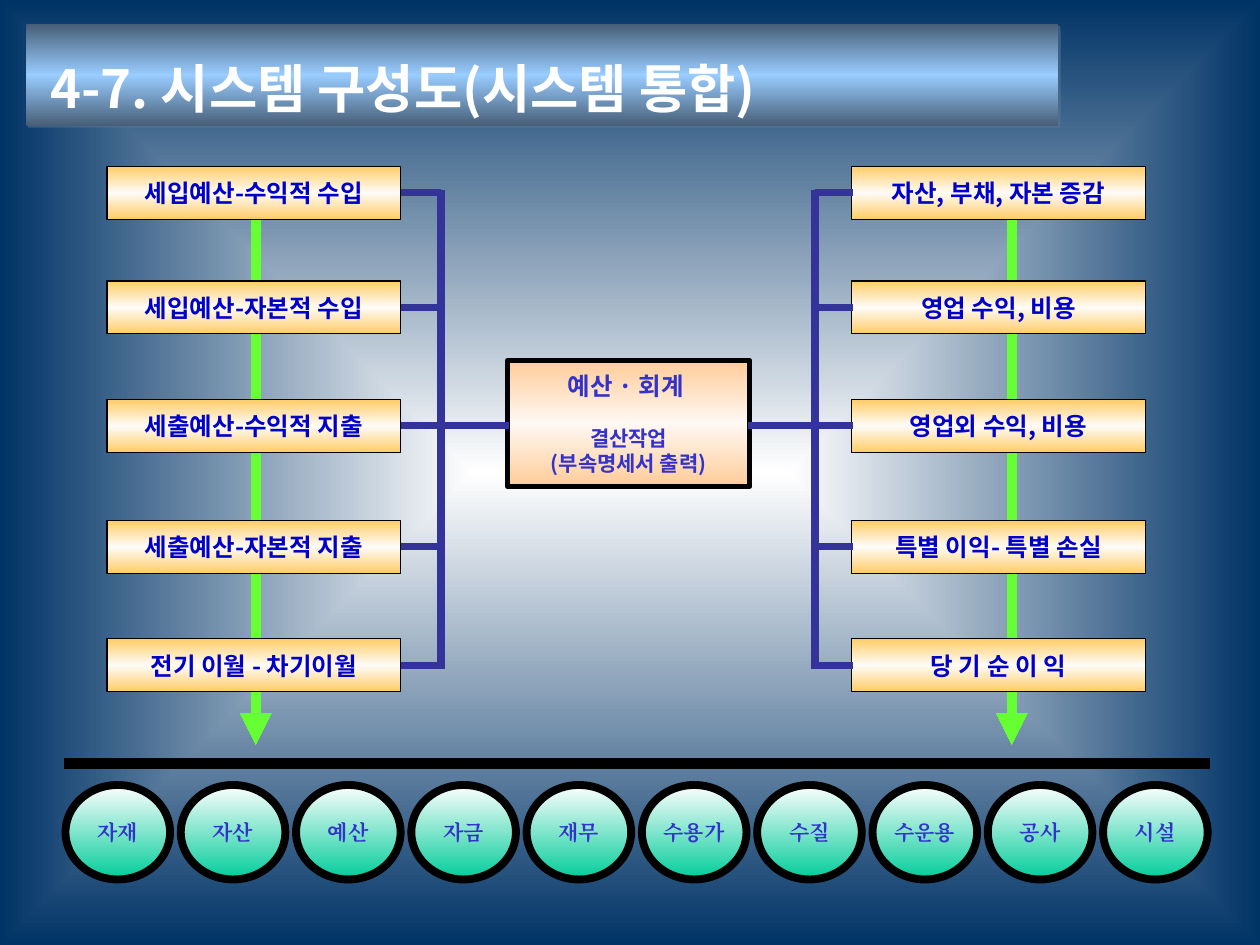
import pptx
import pptx.util
import pptx.dml.color
import pptx.enum.shapes
import pptx.enum.text
import pptx.oxml
import pptx.oxml.ns
from lxml import etree

Inches, Pt = pptx.util.Inches, pptx.util.Pt
SHAPE = pptx.enum.shapes.MSO_SHAPE
ALIGN = pptx.enum.text.PP_ALIGN
qn = pptx.oxml.ns.qn

COLORS = {
    "white": "FFFFFF", "navy": "003366", "steel": "475E76", "sky": "99CCFF",
    "title_shadow": "5B7998", "green": "66FF33", "peach": "FFCC99",
    "pale_peach": "FEF8F3", "amber": "FFCC66", "cream": "FEFCF8",
    "near_white": "FEFEFE", "teal": "00CC99", "black": "000000",
    "violet": "3333CC", "blue": "0000CC", "indigo": "333399",
}
SANS, SERIF = "Noto Sans CJK KR", "Times New Roman"

TITLE = "4-7. 시스템 구성도(시스템 통합)"
BUDGET = ["세입예산-수익적 수입", "세입예산-자본적 수입", "세출예산-수익적 지출",
          "세출예산-자본적 지출", "전기 이월 - 차기이월"]
ACCOUNTING = ["자산, 부채, 자본 증감", "영업 수익, 비용", "영업외 수익, 비용",
              "특별 이익- 특별 손실", "당 기 순 이 익"]
SETTLEMENT = [("예산 · 회계 ", 14, 0), ("결산작업", 12, 14), ("(부속명세서 출력)", 12, 0)]
MODULES = ["자재", "자산", "예산", "자금", "재무", "수용가", "수질", "수운용", "공사", "시설"]

ROW_TOPS = [1.32, 2.23, 3.17, 4.13, 5.07]
BOX_WIDTH, BOX_HEIGHT = 2.33, 0.42
MIDDLE_ROW = 2
SIDES = [
    {"labels": BUDGET, "left": 0.85, "flow": 2.03, "spine": 3.5, "edge": 3.18, "hub": 4.04},
    {"labels": ACCOUNTING, "left": 6.76, "flow": 8.03, "spine": 6.47, "edge": 6.77, "hub": 5.94},
]
FLOW_TOP, FLOW_STEP, FLOW_END = 1.74, 0.92, 5.91
MODULE_LEFT, MODULE_STEP, MODULE_TOP = 0.52, 0.915, 6.23


def rgb(color):
    return pptx.dml.color.RGBColor.from_string(COLORS[color])


def set_gradient(fill, owner, colors, from_center=False):
    fill.gradient()
    gradient = owner.find(".//" + qn("a:gradFill"))
    for child in list(gradient):
        gradient.remove(child)
    stops = etree.SubElement(gradient, qn("a:gsLst"))
    for index, color in enumerate(colors):
        position = 100000 * index // (len(colors) - 1)
        stop = etree.SubElement(stops, qn("a:gs"), pos=str(position))
        etree.SubElement(stop, qn("a:srgbClr"), val=COLORS[color])
    if from_center:
        focus = etree.SubElement(gradient, qn("a:path"), path="rect")
        etree.SubElement(focus, qn("a:fillToRect"), dict.fromkeys("ltrb", "50000"))
    else:
        etree.SubElement(gradient, qn("a:lin"), ang="5400000", scaled="0")


def write(shape, lines, font, color, align=ALIGN.CENTER, **frame_format):
    frame = shape.text_frame
    settings = {
        "word_wrap": False, "auto_size": pptx.enum.text.MSO_AUTO_SIZE.NONE,
        "vertical_anchor": pptx.enum.text.MSO_ANCHOR.MIDDLE,
        "margin_left": Inches(0.1), "margin_right": Inches(0.1),
        "margin_top": Inches(0.05), "margin_bottom": Inches(0.05), **frame_format,
    }
    for name, value in settings.items():
        setattr(frame, name, value)
    for index, (text, size, gap) in enumerate(lines):
        paragraph = frame.add_paragraph() if index else frame.paragraphs[0]
        paragraph.alignment = align
        if gap:
            paragraph.space_before = Pt(gap)
        run = paragraph.add_run()
        run.text = text
        for name, value in {"size": Pt(size), "bold": True, "name": font}.items():
            setattr(run.font, name, value)
        run.font.color.rgb = rgb(color)
        etree.SubElement(run._r.get_or_add_rPr(), qn("a:ea"), typeface=font)


def add_node(slide, kind, place, colors, line_width, lines, font, color):
    node = slide.shapes.add_shape(kind, *map(Inches, place))
    node.shadow.inherit = False
    set_gradient(node.fill, node._element, colors)
    node.line.color.rgb = rgb("black")
    node.line.width = Pt(line_width)
    write(node, lines, font, color)


def add_line(slide, start, end, color, width, arrow=False):
    line = slide.shapes.add_connector(
        pptx.enum.shapes.MSO_CONNECTOR.STRAIGHT, *map(Inches, start + end))
    line.line.color.rgb = rgb(color)
    line.line.width = Pt(width)
    if arrow:
        etree.SubElement(line.line._get_or_add_ln(), qn("a:tailEnd"), type="triangle")
    etree.SubElement(line._element.spPr, qn("a:effectLst"))


def add_title(slide):
    title = slide.shapes.title
    place = {"left": 0.21, "top": 0.19, "width": 8.19, "height": 0.81}
    for name, value in place.items():
        setattr(title, name, Inches(value))
    set_gradient(title.fill, title._element, ["steel", "sky", "steel"])
    title.line.fill.background()
    title.shadow.inherit = False
    effects = title._element.spPr.find(qn("a:effectLst"))
    shadow = etree.SubElement(effects, qn("a:outerShdw"), dist=str(Pt(1.4)), dir="2700000")
    tint = etree.SubElement(shadow, qn("a:srgbClr"), val=COLORS["title_shadow"])
    etree.SubElement(tint, qn("a:alpha"), val="50000")
    write(title, [(TITLE, 30, 0)], SANS, "white", ALIGN.LEFT,
          margin_left=Inches(0.19), margin_top=Inches(0.15))
    title.text_frame.paragraphs[0].line_spacing = 1.2


def add_bracket(slide, side):
    middles = [top + BOX_HEIGHT / 2 for top in ROW_TOPS]
    spine = side["spine"]
    add_line(slide, (spine, middles[0] - 0.02), (spine, middles[-1] + 0.03), "indigo", 4.5)
    for row, middle in enumerate(middles):
        inner = side["hub"] if row == MIDDLE_ROW else spine
        add_line(slide, (side["edge"], middle), (inner, middle), "indigo", 4)


def main():
    """Build the system integration slide."""
    deck = pptx.Presentation()
    deck.slide_width, deck.slide_height = Inches(10), Inches(7.5)
    slide = deck.slides.add_slide(deck.slide_layouts[5])
    set_gradient(slide.background.fill, slide._element, ["white", "navy"], from_center=True)
    add_title(slide)

    add_node(slide, SHAPE.RECTANGLE, (4.03, 2.86, 1.92, 1),
             ["peach", "pale_peach", "peach"], 3, SETTLEMENT, SANS, "violet")
    add_line(slide, (0.51, 6.06), (9.6, 6.06), "black", 6)
    for index, label in enumerate(MODULES):
        place = (MODULE_LEFT + index * MODULE_STEP, MODULE_TOP, 0.83, 0.75)
        add_node(slide, SHAPE.OVAL, place, ["near_white", "teal"], 4.5,
                 [(label, 12, 0)], SERIF, "violet")

    for row in range(len(ROW_TOPS)):
        for side in SIDES:
            start = (side["flow"], FLOW_TOP + row * FLOW_STEP)
            add_line(slide, start, (side["flow"], FLOW_END), "green", 6, arrow=True)
    for side in SIDES:
        for label, top in zip(side["labels"], ROW_TOPS):
            add_node(slide, SHAPE.RECTANGLE, (side["left"], top, BOX_WIDTH, BOX_HEIGHT),
                     ["amber", "cream", "amber"], 0.75, [(label, 14, 0)], SANS, "blue")
    for side in SIDES:
        add_bracket(slide, side)
    deck.save("out.pptx")


if __name__ == "__main__":
    main()
